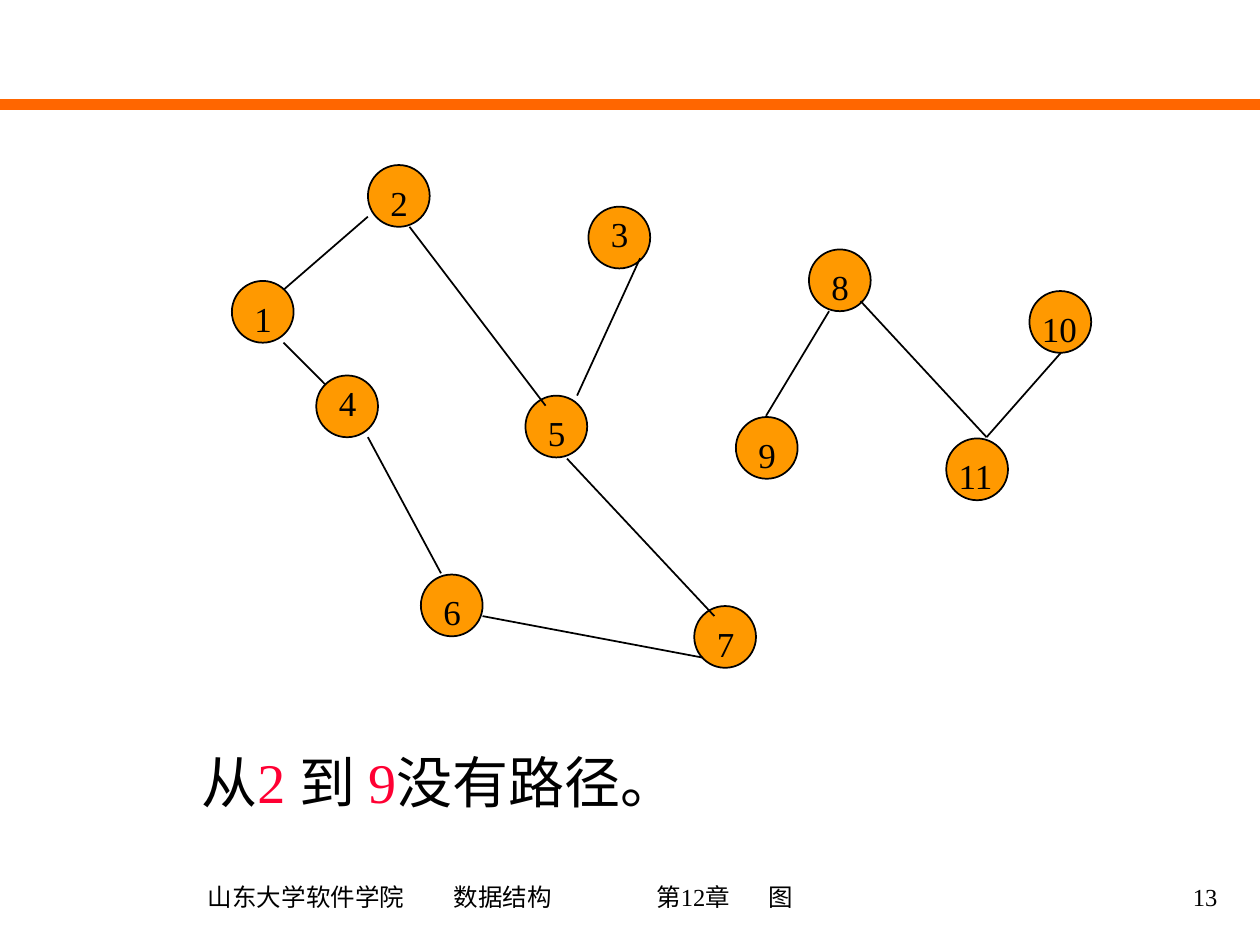
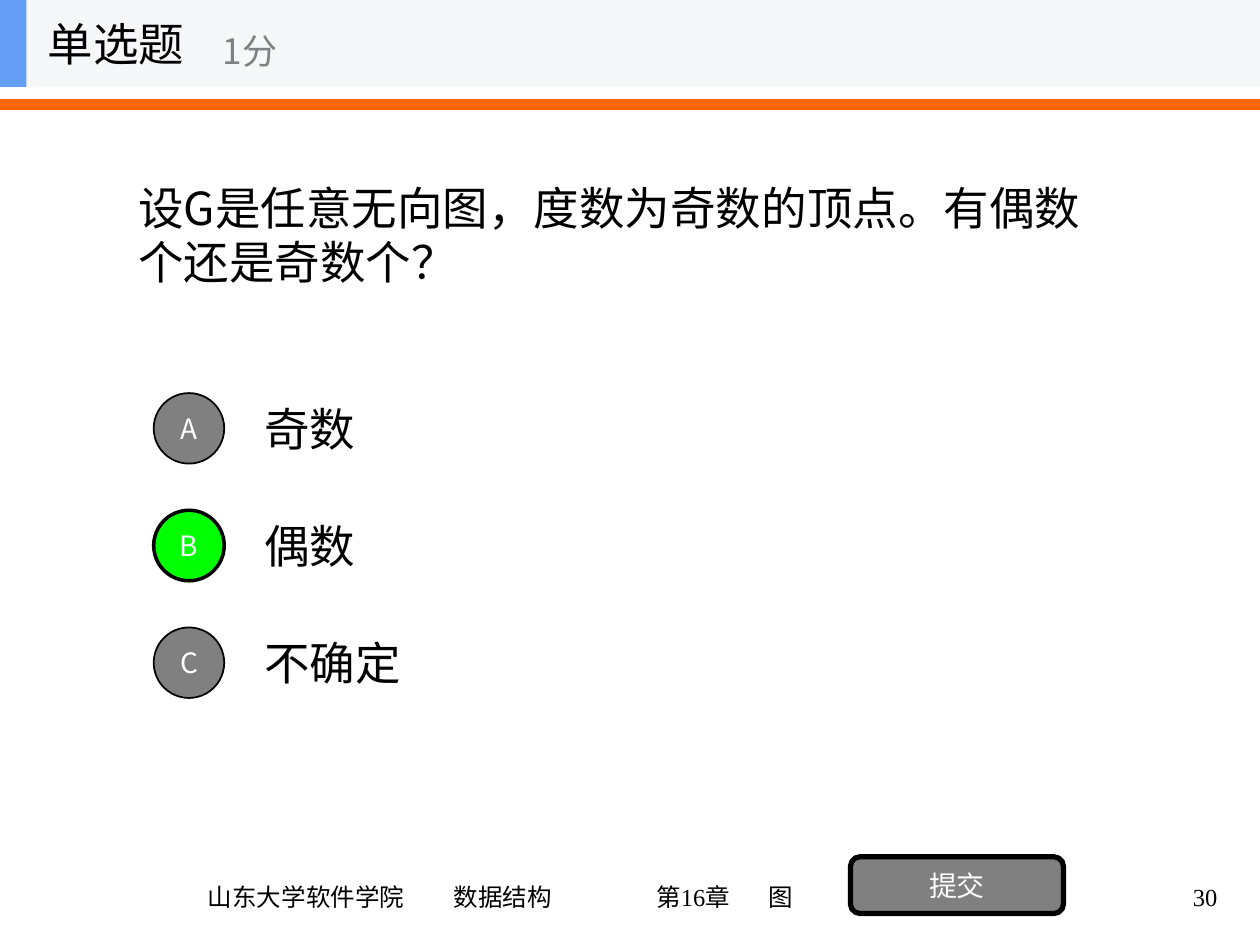
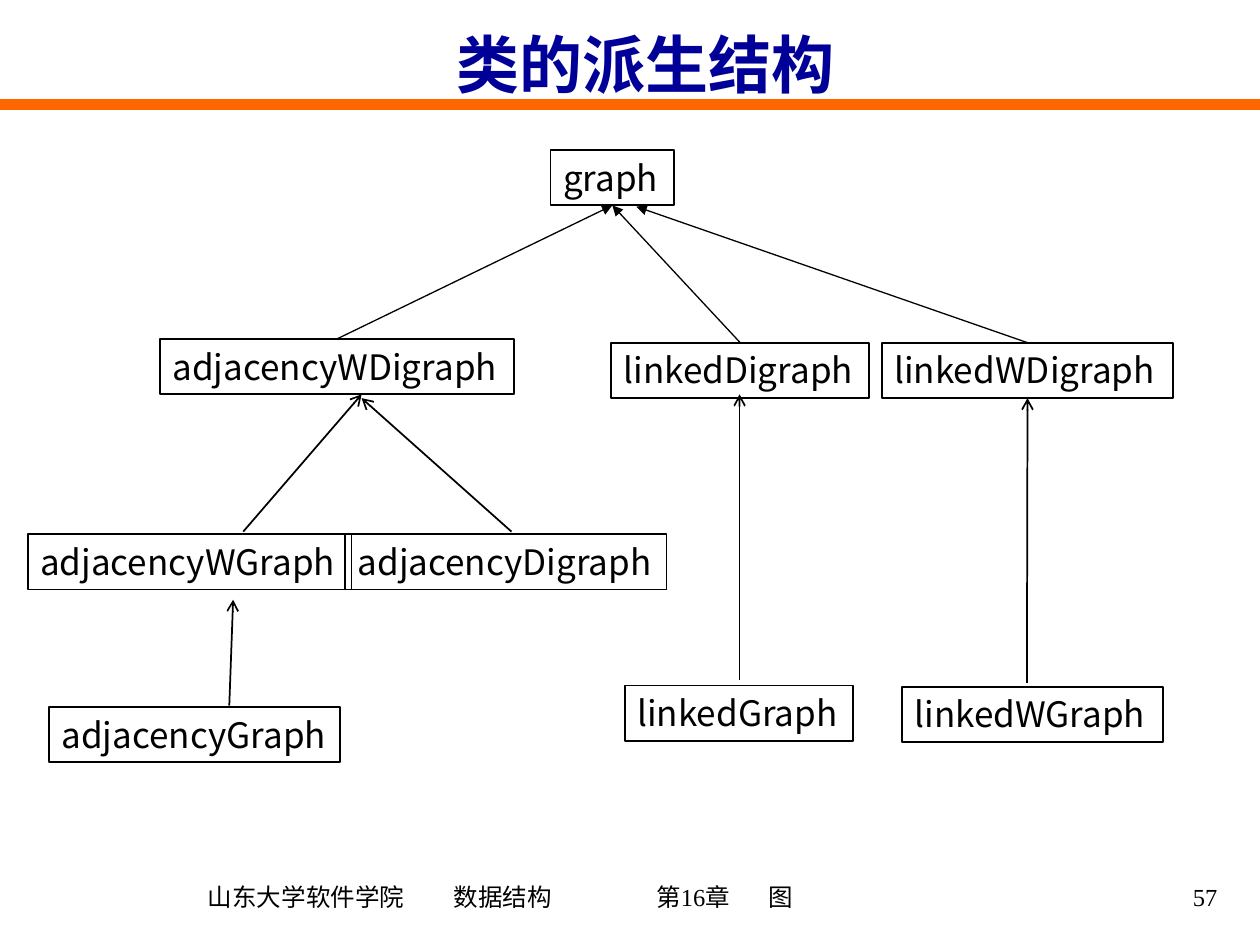
from dataclasses import dataclass
from typing import Optional

import pptx
import pptx.dml.color
import pptx.enum.shapes
import pptx.enum.text
import pptx.oxml
import pptx.oxml.ns
import pptx.util
from pptx.util import Inches

Align = pptx.enum.text.PP_ALIGN
Anchor = pptx.enum.text.MSO_ANCHOR
Preset = pptx.enum.shapes.MSO_SHAPE

# ---- Shared look ----
COLORS = {
    "black": "000000", "white": "FFFFFF", "rule": "FF6600", "title": "000099",
    "red": "FF0033", "node": "FF9900", "gray": "808080", "correct": "00FF00",
    "header": "F6F7F8", "accent": "639EF4",
}
SERIF, SANS = "Times New Roman", "Noto Sans CJK SC"
STYLES = {
    "footer": {"name": SERIF, "size": pptx.util.Pt(14)},
    "node": {"name": SERIF, "size": pptx.util.Pt(20)},
    "sentence": {"name": SERIF, "size": pptx.util.Pt(32)},
    "quiz": {"name": SANS, "size": pptx.util.Pt(26)},
    "button": {"name": SANS, "size": pptx.util.Pt(16)},
    "class": {"name": SANS, "size": pptx.util.Pt(20)},
    "title": {"name": SANS, "size": pptx.util.Pt(36), "bold": True},
}
FOOTER_TABS = (1.95, 3.56, 4.45)


@dataclass
class Area:
    left: float
    top: float
    width: float
    height: float

    def lengths(self) -> list:
        return [Inches(v) for v in (self.left, self.top, self.width, self.height)]


@dataclass
class Node:
    number: int
    left: float
    top: float
    label_dx: float = 0.08
    label_dy: float = 0.08
    label_width: float = 0.25


@dataclass
class ClassBox:
    name: str
    left: float
    top: float
    width: float


@dataclass
class Arrow:
    start: tuple
    end: tuple
    head: str = "arrow"
    weight: float = 1
    child: Optional[str] = None   # joined at its top
    parent: Optional[str] = None  # joined at its bottom


# ---- Slide data ----
NODE_SIZE = 0.49
NODES = [
    Node(1, 1.84, 2.23), Node(2, 2.92, 1.31), Node(3, 4.67, 1.64, label_dy=0),
    Node(4, 2.51, 2.98, label_dy=0), Node(5, 4.17, 3.14), Node(6, 3.34, 4.56),
    Node(7, 5.51, 4.81), Node(8, 6.42, 1.98), Node(9, 5.84, 3.31),
    Node(10, 8.17, 2.31, label_dx=0, label_width=0.5),
    Node(11, 7.51, 3.48, label_dx=0, label_width=0.83),
]
EDGES = [
    ((2.92, 1.72), (2.25, 2.3)), ((3.25, 1.8), (4.33, 3.22)),
    ((2.25, 2.72), (2.58, 3.05)), ((2.92, 3.47), (3.5, 4.55)),
    ((3.83, 4.89), (5.58, 5.22)), ((5.08, 2.05), (4.58, 3.14)),
    ((4.5, 3.64), (5.67, 4.89)), ((6.58, 2.47), (6.08, 3.3)),
    ((6.83, 2.39), (7.83, 3.47)), ((7.83, 3.47), (8.42, 2.8)),
]
SENTENCE = [("从", "black"), ("2 ", "red"), ("到 ", "black"),
            ("9", "red"), ("没有路径。", "black")]
OPTIONS = [("A", "奇数", "gray", 1), ("B", "偶数", "correct", 2),
           ("C", "不确定", "gray", 1)]
OPTION_TOP, OPTION_PITCH = 3.05, 0.93
CLASS_HEIGHT = 0.44
CLASSES = [
    ClassBox("adjacencyWDigraph", 1.27, 2.69, 2.81),
    ClassBox("adjacencyWGraph", 0.22, 4.24, 2.57),
    ClassBox("adjacencyDigraph", 2.74, 4.24, 2.55),
    ClassBox("adjacencyGraph", 0.39, 5.61, 2.31),
    ClassBox("linkedDigraph", 4.85, 2.72, 2.05),
    ClassBox("linkedWDigraph", 7, 2.72, 2.31),
    ClassBox("linkedGraph", 4.96, 5.44, 1.81),
    ClassBox("linkedWGraph", 7.16, 5.45, 2.07),
    ClassBox("graph", 4.37, 1.19, 0.98),
]
ARROWS = [
    Arrow((1.93, 4.22), (2.87, 3.13)),
    Arrow((4.06, 4.22), (2.87, 3.16)),
    Arrow((1.82, 5.6), (1.85, 4.76)),
    Arrow((5.87, 5.4), (5.87, 3.13)),
    Arrow((8.15, 5.42), (8.15, 3.16), parent="linkedWDigraph"),
    Arrow((2.67, 2.69), (4.86, 1.62), "triangle", 0.75, "adjacencyWDigraph", "graph"),
    Arrow((5.88, 2.72), (4.86, 1.62), "triangle", 0.75, "linkedDigraph", "graph"),
    Arrow((8.16, 2.72), (5.05, 1.64), "triangle", 0.75, "linkedWDigraph"),
]


# ---- Drawing helpers ----
def rgb(color: str):
    return pptx.dml.color.RGBColor.from_string(COLORS[color])


def add_child(parent, tag: str, **attributes: str):
    child = pptx.oxml.parse_xml(f"<{tag} {pptx.oxml.ns.nsdecls('a')}/>")
    for key, value in attributes.items():
        child.set(key, value)
    parent.append(child)
    return child


def add_span(para, text: str, style: str, color: str) -> None:
    span = para.add_run()
    span.text = text
    for key, value in STYLES[style].items():
        setattr(span.font, key, value)
    span.font.color.rgb = rgb(color)
    add_child(span.font._element, "a:ea", typeface=SANS)


def write(shape, spans: list, style: str, align=Align.LEFT, anchor=Anchor.TOP,
          wrap: bool = True, **margins):
    frame = shape.text_frame
    layout = {"word_wrap": wrap, "vertical_anchor": anchor,
              "auto_size": pptx.enum.text.MSO_AUTO_SIZE.NONE, **margins}
    for key, value in layout.items():
        setattr(frame, key, value)
    para = frame.paragraphs[0]
    para.alignment = align
    para.space_before = pptx.util.Pt(0)
    for text, color in spans:
        add_span(para, text, style, color)
    return para


def add_text(page, area: Area, spans: list, style: str, **layout):
    return write(page.shapes.add_textbox(*area.lengths()), spans, style, **layout)


def add_block(page, preset, area: Area, fill: Optional[str] = None, line_width: float = 0):
    shape = page.shapes.add_shape(preset, *area.lengths())
    shape.shadow.inherit = False
    if fill:
        shape.fill.solid()
        shape.fill.fore_color.rgb = rgb(fill)
    else:
        shape.fill.background()
    if line_width:
        shape.line.color.rgb = rgb("black")
        shape.line.width = pptx.util.Pt(line_width)
    else:
        shape.line.fill.background()
    return shape


def add_line(page, start: tuple, end: tuple, color: str = "black", weight: float = 1):
    line = page.shapes.add_connector(pptx.enum.shapes.MSO_CONNECTOR.STRAIGHT,
                                     *[Inches(v) for v in (*start, *end)])
    line.line.color.rgb = rgb(color)
    line.line.width = pptx.util.Pt(weight)
    add_child(line._element.spPr, "a:effectLst")
    return line


def add_arrow(page, arrow: Arrow, boxes: dict) -> None:
    line = add_line(page, arrow.start, arrow.end, weight=arrow.weight)
    add_child(line.line._get_or_add_ln(), "a:tailEnd", type=arrow.head)
    if arrow.child:
        line.begin_connect(boxes[arrow.child], 0)
    if arrow.parent:
        line.end_connect(boxes[arrow.parent], 2)


def add_page(deck, chapter: int, number: int, title: Optional[str] = None):
    page = deck.slides.add_slide(deck.slide_layouts[5 if title else 6])
    add_line(page, (0, 0.83), (10, 0.83), "rule", 6)
    if title:
        holder = page.shapes.title
        holder.left, holder.top, holder.width, holder.height = \
            Area(1, 0.17, 8.25, 0.67).lengths()
        write(holder, [(title, "title")], "title", Align.CENTER, Anchor.MIDDLE)
    # Footer, its parts set on tab stops
    footer = page.shapes.add_textbox(*Area(0.75, 6.86, 6.46, 0.51).lengths())
    para = footer.text_frame.paragraphs[0]
    para.space_before = pptx.util.Pt(0)
    stops = add_child(para._element.get_or_add_pPr(), "a:tabLst")
    for stop in FOOTER_TABS:
        add_child(stops, "a:tab", pos=str(int(Inches(stop))), algn="l")
    write(footer, [(f"山东大学软件学院\t数据结构\t第{chapter}章\t图", "black")],
          "footer", anchor=Anchor.MIDDLE, margin_left=Inches(0.9))
    add_text(page, Area(7.68, 6.87, 2.08, 0.5), [(str(number), "black")], "footer",
             align=Align.RIGHT, anchor=Anchor.MIDDLE)
    return page


# ---- Slides ----
def build_path_page(deck) -> None:
    page = add_page(deck, 12, 13)
    add_text(page, Area(1.5, 5.88, 8.5, 0.78), SENTENCE, "sentence")
    for node in NODES:
        add_block(page, Preset.OVAL, Area(node.left, node.top, NODE_SIZE, NODE_SIZE),
                  "node", 1)
    for start, end in EDGES:
        add_line(page, start, end)
    for node in NODES:
        area = Area(node.left + node.label_dx, node.top + node.label_dy,
                    node.label_width, 0.43)
        add_text(page, area, [(str(node.number), "black")], "node")


def build_quiz_page(deck) -> None:
    page = add_page(deck, 16, 30)
    middle = {"anchor": Anchor.MIDDLE}
    centered = {"anchor": Anchor.MIDDLE, "align": Align.CENTER, "wrap": False}
    add_text(page, Area(1, 0.69, 8, 2.34),
             [("设G是任意无向图，度数为奇数的顶点。有偶数个还是奇数个？", "black")],
             "quiz", **middle)
    # Answer options
    for row, (letter, answer, fill, line_width) in enumerate(OPTIONS):
        top = OPTION_TOP + row * OPTION_PITCH
        add_text(page, Area(2, top, 7, 0.7), [(answer, "black")], "quiz", **middle)
        circle = add_block(page, Preset.OVAL, Area(1.22, top + 0.07, 0.56, 0.56),
                           fill, line_width)
        write(circle, [(letter, "white")], "button", **centered)
    submit = add_block(page, Preset.ROUNDED_RECTANGLE, Area(6.75, 6.8, 1.69, 0.45),
                       "gray", 3)
    write(submit, [("提交", "white")], "button", **centered)
    # Header band
    add_block(page, Preset.RECTANGLE, Area(0, 0, 10, 0.69), "header")
    add_block(page, Preset.RECTANGLE, Area(0, 0, 0.21, 0.69), "accent")
    add_text(page, Area(0.28, 0, 2.08, 0.69), [("单选题", "black")], "quiz", **middle)
    add_text(page, Area(1.67, 0.12, 2.5, 0.56), [("1分", "gray")], "class", **middle)


def build_class_page(deck) -> None:
    page = add_page(deck, 16, 57, "类的派生结构")
    boxes = {}
    for item in CLASSES:
        box = add_block(page, Preset.RECTANGLE,
                        Area(item.left, item.top, item.width, CLASS_HEIGHT), line_width=1)
        write(box, [(item.name, "black")], "class", margin_right=0)
        boxes[item.name] = box
    for arrow in ARROWS:
        add_arrow(page, arrow, boxes)


def main() -> None:
    deck = pptx.Presentation()
    deck.slide_width, deck.slide_height = Inches(10), Inches(7.5)
    build_path_page(deck)
    build_quiz_page(deck)
    build_class_page(deck)
    deck.save("out.pptx")


if __name__ == "__main__":
    main()
